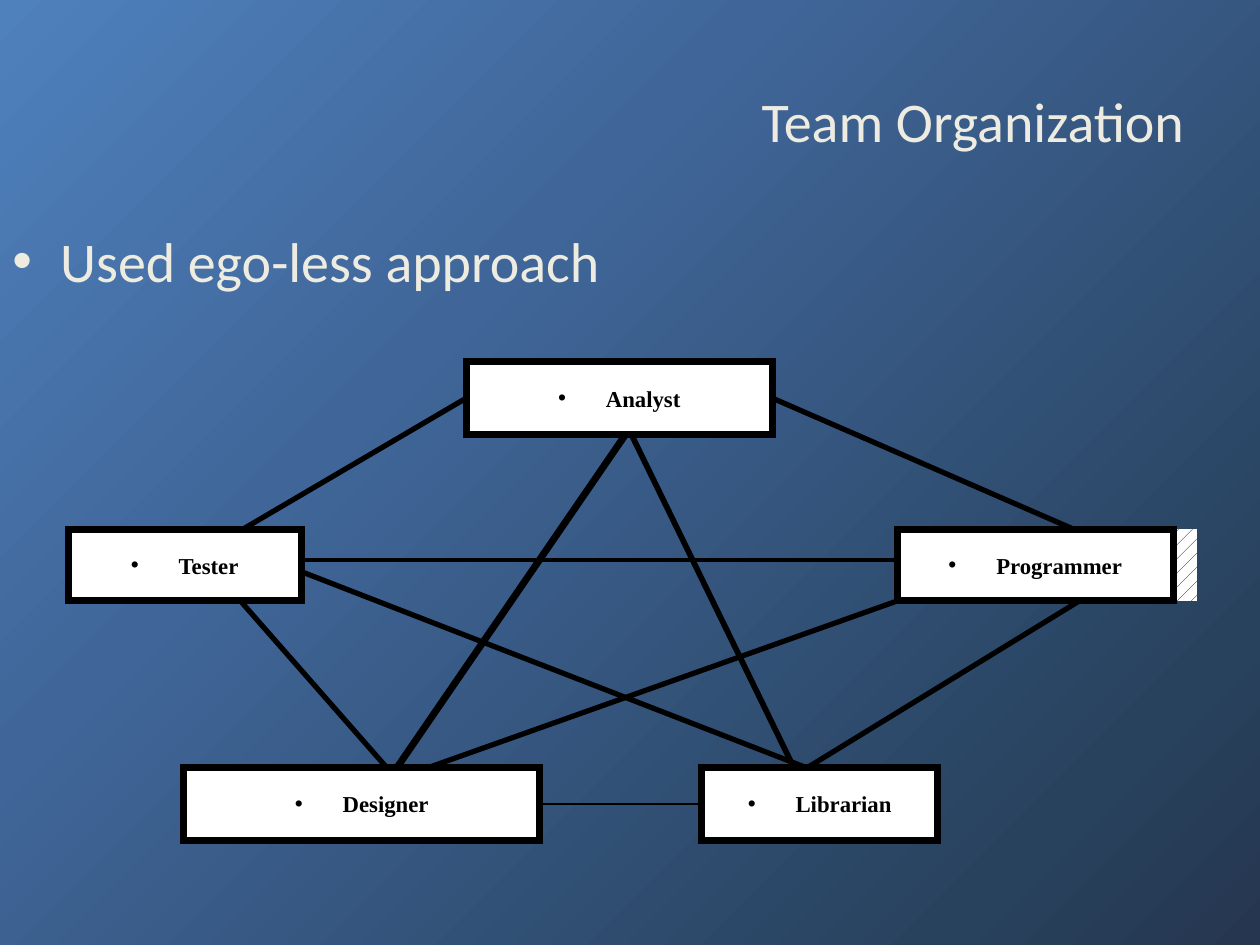
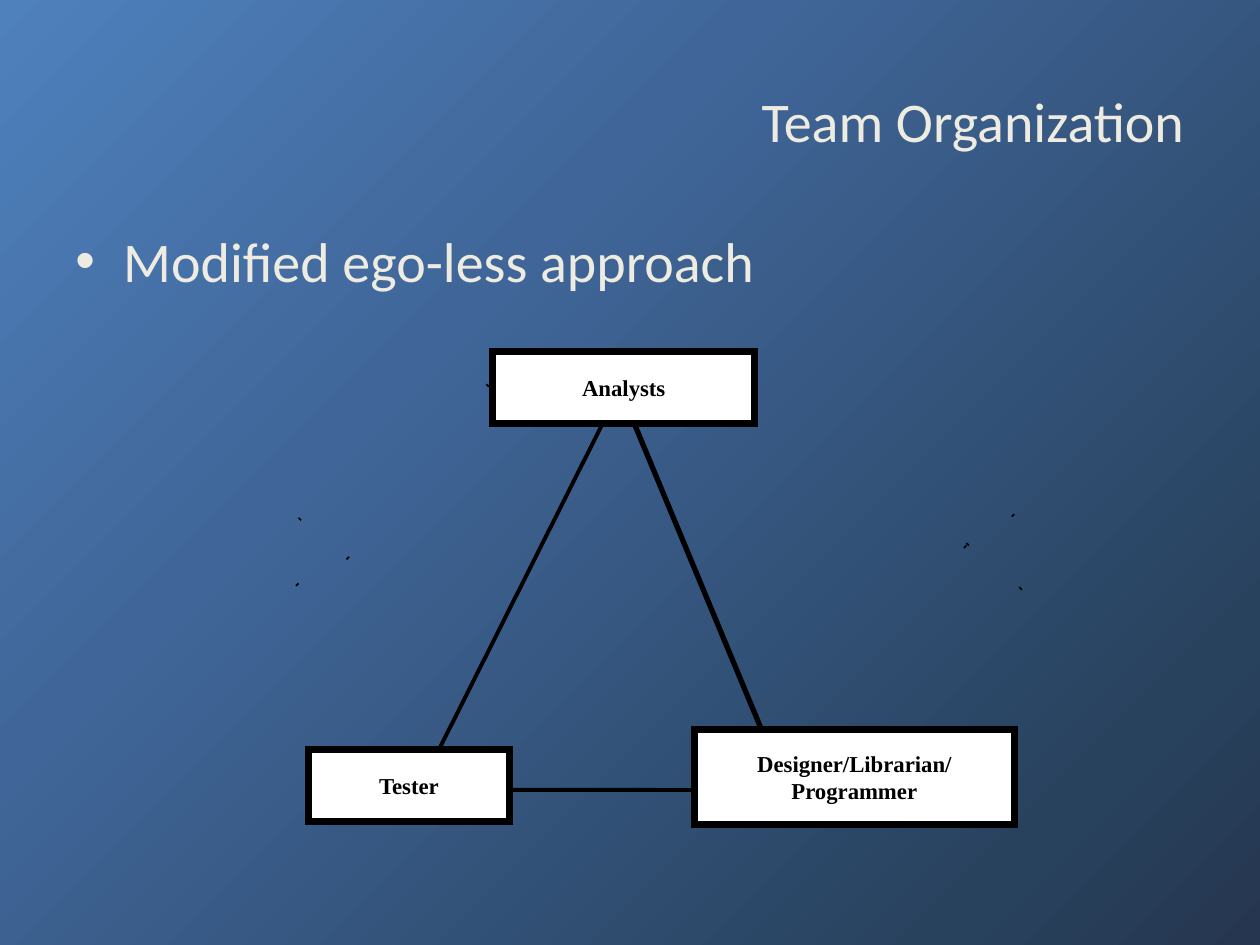
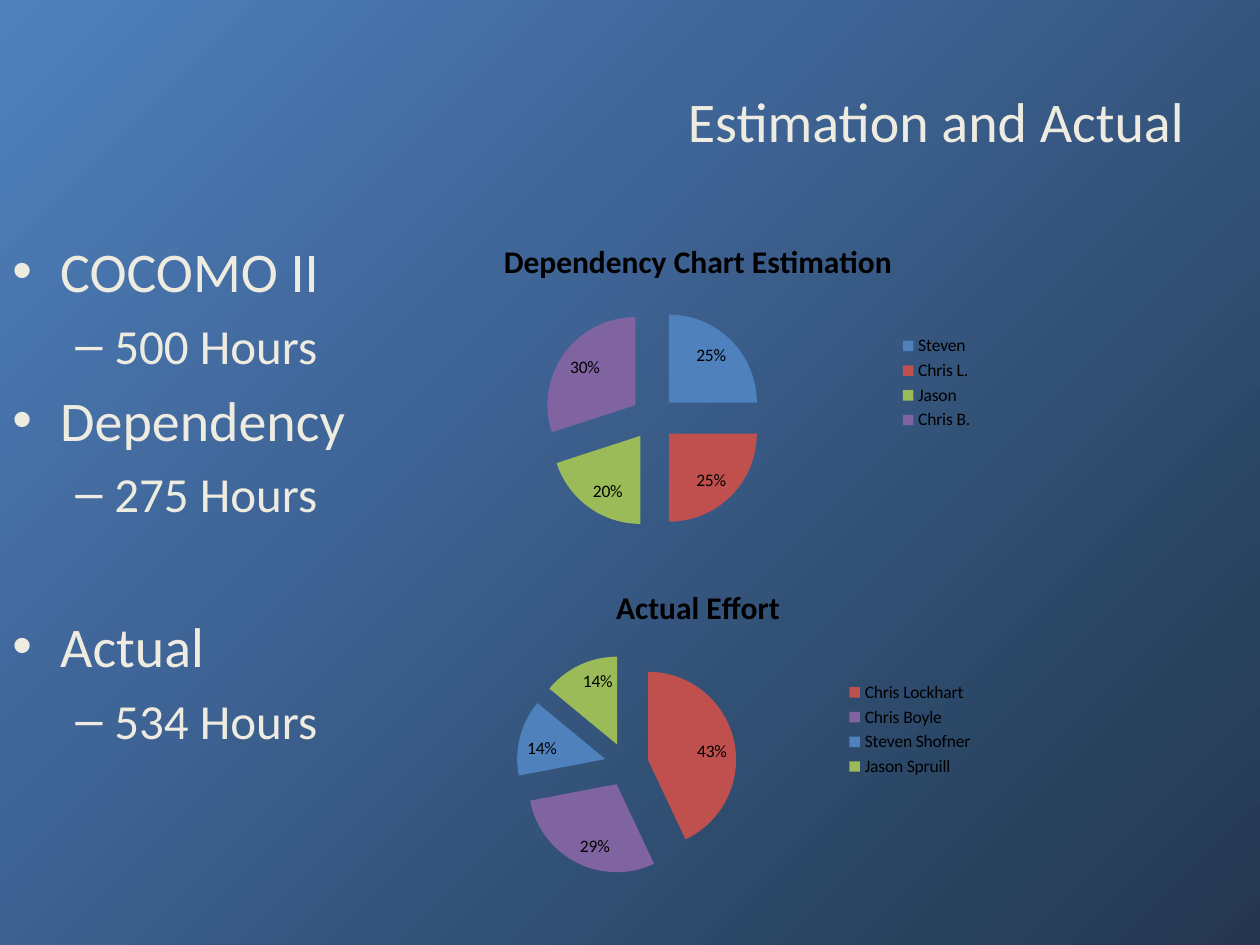
from lxml import etree
from pptx import Presentation
from pptx.chart.data import CategoryChartData
from pptx.dml.color import RGBColor
from pptx.enum.chart import XL_CHART_TYPE, XL_LABEL_POSITION, XL_LEGEND_POSITION
from pptx.enum.dml import MSO_PATTERN
from pptx.enum.shapes import MSO_CONNECTOR, MSO_SHAPE
from pptx.enum.text import MSO_ANCHOR, PP_ALIGN
from pptx.oxml.ns import qn
from pptx.util import Inches, Pt

RECT = MSO_SHAPE.RECTANGLE
STRAIGHT = MSO_CONNECTOR.STRAIGHT
DOTTED = MSO_PATTERN.PERCENT_10
MIDDLE = MSO_ANCHOR.MIDDLE
CENTER, RIGHT_ALIGNED = PP_ALIGN.CENTER, PP_ALIGN.RIGHT
PIE = XL_CHART_TYPE.PIE
INSIDE_END = XL_LABEL_POSITION.INSIDE_END
LEGEND_RIGHT = XL_LEGEND_POSITION.RIGHT
TOP, LEFT, BOTTOM, RIGHT = range(4)

BLACK = RGBColor(0, 0, 0)
WHITE = RGBColor(0xFF, 0xFF, 0xFF)
CREAM = RGBColor(0xEE, 0xEC, 0xE1)
BLUE = RGBColor(0x4F, 0x81, 0xBD)
RED = RGBColor(0xC0, 0x50, 0x4D)
GREEN = RGBColor(0x9B, 0xBB, 0x59)
PURPLE = RGBColor(0x80, 0x64, 0xA2)
BACKGROUND = [(0, BLUE), (35, RGBColor(0x40, 0x66, 0x99)),
              (85, RGBColor(0x28, 0x42, 0x5E)), (100, RGBColor(0x26, 0x36, 0x50))]
SANS, SERIF = "Calibri", "Times New Roman"

BULLETS = [("•", 32, 0.38, 0.38), ("–", 28, 0.81, 0.31)]
BULLET_GAP, SECTION_GAP = 6.4, 51
MIDPOINT = 0.5
TICK = 0.02

EGOLESS_ROLES = {
    "Analyst": (3.7, 2.87, 2.43, 0.58),
    "Designer": (1.46, 6.09, 2.82, 0.58),
    "Librarian": (5.57, 6.09, 1.87, 0.58),
    "Tester": (0.54, 4.2, 1.85, 0.57),
    "Programmer": (7.12, 4.2, 2.19, 0.57),
}
EGOLESS_OVERHANGS = {"Designer": 0.03, "Programmer": 0.19}
EGOLESS_LINKS = [
    (("Analyst", LEFT, MIDPOINT), ("Tester", TOP, 0.75), 3),
    (("Analyst", RIGHT, MIDPOINT), ("Programmer", TOP, 0.64), 3),
    (("Analyst", BOTTOM, 0.52), ("Designer", TOP, 0.6), 4),
    (("Analyst", BOTTOM, 0.54), ("Librarian", TOP, 0.39), 3.25),
    (("Tester", RIGHT, 0.43), ("Programmer", LEFT, 0.43), 2),
    (("Tester", RIGHT, 0.59), ("Librarian", TOP, 0.44), 3),
    (("Tester", BOTTOM, 0.74), ("Designer", TOP, 0.57), 3),
    (("Programmer", BOTTOM, 0), ("Designer", TOP, 0.69), 3),
    (("Programmer", BOTTOM, 0.66), ("Librarian", TOP, 0.45), 3),
    (("Designer", RIGHT, MIDPOINT), ("Librarian", LEFT, MIDPOINT), 1),
]

BUILDERS = "Designer/Librarian/\nProgrammer"
MODIFIED_ROLES = {
    "Analysts": (3.91, 2.79, 2.08, 0.57),
    BUILDERS: (5.51, 5.79, 2.54, 0.75),
    "Tester": (2.45, 5.95, 1.59, 0.57),
}
MODIFIED_LINKS = [
    (("Analysts", BOTTOM, 0.42), ("Tester", TOP, 0.65), 2.25),
    (("Analysts", BOTTOM, 0.54), (BUILDERS, TOP, 0.21), 3),
    (("Tester", RIGHT, 0.56), (BUILDERS, LEFT, 0.64), 2.25),
]
RISING_TICKS = [(8.04, 4.09), (2.76, 4.43), (7.66, 4.34), (2.36, 4.64)]
FALLING_TICKS = [(8.1, 4.67), (2.38, 4.12), (3.87, 3.06), (7.68, 4.32)]

ESTIMATED = [("Steven", 25, BLUE), ("Chris L.", 25, RED),
             ("Jason", 20, GREEN), ("Chris B.", 30, PURPLE)]
ACTUAL = [("Chris Lockhart", 43, RED), ("Chris Boyle", 29, PURPLE),
          ("Steven Shofner", 14, BLUE), ("Jason Spruill", 14, GREEN)]


def inches(values):
    return [Inches(v) for v in values]


def set_background(master):
    fill = master.background.fill
    fill.gradient()
    fill.gradient_angle = 315
    stops = master.element.find(".//" + qn("a:gsLst"))
    for stop in list(stops):
        stops.remove(stop)
    for position, color in BACKGROUND:
        stop = etree.SubElement(stops, qn("a:gs"), pos=str(position * 1000))
        etree.SubElement(stop, qn("a:srgbClr"), val=str(color))


def style(p, name, size, color, bold=False):
    for r in p.runs:
        r.font.name = name
        r.font.size = Pt(size)
        r.font.color.rgb = color
        r.font.bold = bold


def set_bullet(p, char, left, hanging):
    pPr = p._p.get_or_add_pPr()
    pPr.set("marL", str(Inches(left)))
    pPr.set("indent", str(-Inches(hanging)))
    etree.SubElement(pPr, qn("a:buFont"), typeface="Arial")
    etree.SubElement(pPr, qn("a:buChar"), char=char)


def add_titled_slide(prs, title):
    slide = prs.slides.add_slide(prs.slide_layouts[5])
    sp = slide.shapes.title
    sp.left, sp.top, sp.width, sp.height = inches((0.5, 0.33, 9, 1.25))
    tf = sp.text_frame
    tf.text = title
    tf.vertical_anchor = MIDDLE
    p = tf.paragraphs[0]
    p.alignment = RIGHT_ALIGNED
    style(p, SANS, 32, CREAM)
    return slide


def add_bullets(slide, box, items):
    tf = slide.shapes.add_textbox(*inches(box)).text_frame
    tf.word_wrap = True
    tf.text = "\n".join(text for text, level in items)
    for p, (text, level) in zip(tf.paragraphs, items):
        char, size, left, hanging = BULLETS[level]
        p.level = level
        p.space_before = Pt(BULLET_GAP)
        set_bullet(p, char, left, hanging)
        style(p, SANS, size, CREAM)
    return tf


def add_rect(slide, box):
    sp = slide.shapes.add_shape(RECT, *inches(box))
    sp.shadow.inherit = False
    sp.line.fill.background()
    return sp


def fill_solid(target, color):
    target.fill.solid()
    target.fill.fore_color.rgb = color


def add_backing(slide, box, overhang):
    left, top, width, height = box
    sp = add_rect(slide, (left, top, width + overhang, height))
    sp.fill.patterned()
    sp.fill.pattern = DOTTED
    sp.fill.fore_color.rgb = BLACK
    sp.fill.back_color.rgb = WHITE


def add_role(slide, name, box, bulleted):
    sp = add_rect(slide, box)
    fill_solid(sp, WHITE)
    sp.line.color.rgb = BLACK
    sp.line.width = Pt(4)
    etree.SubElement(sp.line._get_or_add_ln(), qn("a:miter"), lim="800000")
    tf = sp.text_frame
    tf.margin_left = tf.margin_right = Inches(0.07)
    tf.margin_top = tf.margin_bottom = Inches(0.04)
    tf.vertical_anchor = MIDDLE
    tf.text = name
    for p in tf.paragraphs:
        p.alignment = CENTER
        if bulleted:
            set_bullet(p, "•", 0.38, 0.38)
        style(p, SERIF, 13, BLACK, bold=True)
    return sp


def add_line(slide, start, end, width):
    line = slide.shapes.add_connector(STRAIGHT, *start, *end)
    line.line.color.rgb = BLACK
    line.line.width = Pt(width)
    etree.SubElement(line._element.spPr, qn("a:effectLst"))
    return line


def point_on_side(sp, side, share):
    if side in (TOP, BOTTOM):
        y = sp.top if side == TOP else sp.top + sp.height
        return sp.left + int(sp.width * share), y
    x = sp.left if side == LEFT else sp.left + sp.width
    return x, sp.top + int(sp.height * share)


def add_link(slide, shapes, start, end, width):
    (start_role, start_side, start_share), (end_role, end_side, end_share) = start, end
    first, last = shapes[start_role], shapes[end_role]
    line = add_line(slide, point_on_side(first, start_side, start_share),
                    point_on_side(last, end_side, end_share), width)
    if start_share == MIDPOINT:
        line.begin_connect(first, start_side)
    if end_share == MIDPOINT:
        line.end_connect(last, end_side)


def add_team(slide, roles, links, overhangs, bulleted):
    for name, overhang in overhangs.items():
        add_backing(slide, roles[name], overhang)
    shapes = {name: add_role(slide, name, box, bulleted) for name, box in roles.items()}
    for start, end, width in links:
        add_link(slide, shapes, start, end, width)


def add_ticks(slide, centers, rise):
    for x, y in centers:
        add_line(slide, inches((x - TICK / 2, y + rise / 2)),
                 inches((x + TICK / 2, y - rise / 2)), 1)


def add_pie(slide, top, title, shares):
    data = CategoryChartData()
    data.categories = [name for name, value, color in shares]
    data.add_series("Series 1", [value for name, value, color in shares])
    chart = slide.shapes.add_chart(PIE, *inches((3.25, top, 4.58, 2.58)), data).chart
    chart.font.name = SANS
    chart.font.size = Pt(10)
    chart.font.color.rgb = BLACK
    chart.has_title = True
    tf = chart.chart_title.text_frame
    tf.text = title
    style(tf.paragraphs[0], SANS, 18, BLACK, bold=True)
    chart.has_legend = True
    chart.legend.position = LEGEND_RIGHT
    chart.legend.include_in_layout = False
    plot = chart.plots[0]
    plot.vary_by_categories = True
    plot.has_data_labels = True
    labels = plot.data_labels
    labels.show_percentage = True
    labels.show_value = False
    labels.number_format = "0%"
    labels.number_format_is_linked = False
    labels.position = INSIDE_END
    series = plot.series[0]
    for i, (name, value, color) in enumerate(shares):
        fill_solid(series.points[i].format, color)
    explosion = etree.Element(qn("c:explosion"), val="25")
    series._element.find(qn("c:dPt")).addprevious(explosion)


def add_egoless_slide(prs):
    slide = add_titled_slide(prs, "Team Organization")
    add_team(slide, EGOLESS_ROLES, EGOLESS_LINKS, EGOLESS_OVERHANGS, bulleted=True)
    add_bullets(slide, (0, 1.75, 9, 4.95), [("Used ego-less approach", 0)])


def add_modified_slide(prs):
    slide = add_titled_slide(prs, "Team Organization")
    add_bullets(slide, (0.5, 1.75, 9, 4.95), [("Modified ego-less approach", 0)])
    add_ticks(slide, RISING_TICKS, TICK)
    add_ticks(slide, FALLING_TICKS, -TICK)
    add_team(slide, MODIFIED_ROLES, MODIFIED_LINKS, {}, bulleted=False)


def add_estimation_slide(prs):
    slide = add_titled_slide(prs, "Estimation and Actual")
    tf = add_bullets(slide, (0, 1.83, 9, 4.87), [
        ("COCOMO II", 0), ("500 Hours", 1),
        ("Dependency", 0), ("275 Hours", 1),
        ("Actual", 0), ("534 Hours", 1)])
    tf.paragraphs[4].space_before = Pt(SECTION_GAP)
    add_pie(slide, 1.75, "Dependency Chart Estimation", ESTIMATED)
    add_pie(slide, 4.5, "Actual Effort", ACTUAL)


def main():
    prs = Presentation()
    prs.slide_width, prs.slide_height = Inches(10), Inches(7.5)
    set_background(prs.slide_master)
    add_egoless_slide(prs)
    add_modified_slide(prs)
    add_estimation_slide(prs)
    prs.save("out.pptx")


if __name__ == "__main__":
    main()
